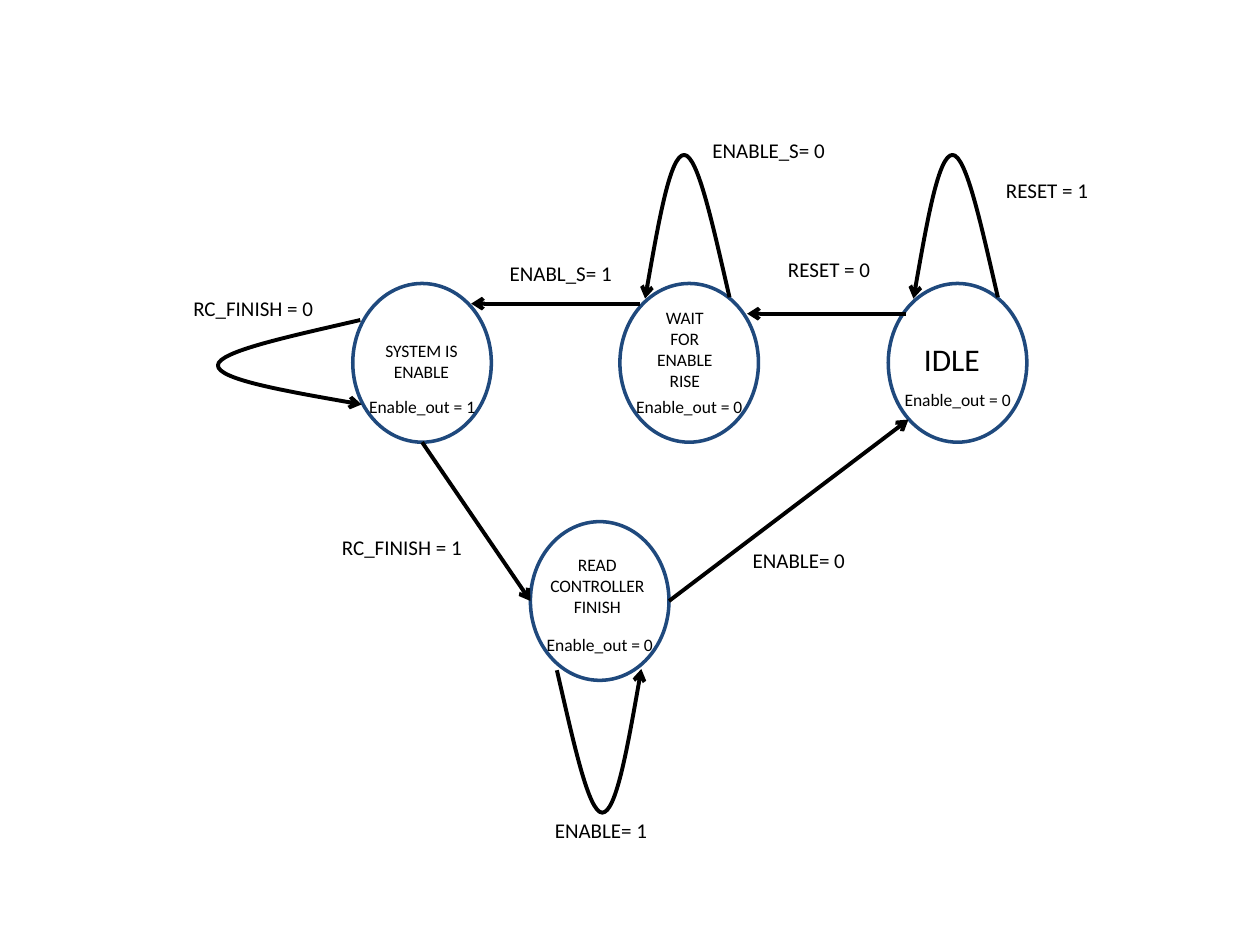
from math import cos, radians, sin

from lxml.etree import SubElement
from pptx import Presentation
from pptx.dml.color import RGBColor
from pptx.enum.shapes import MSO_CONNECTOR as Connector, MSO_SHAPE as Shape
from pptx.enum.text import MSO_AUTO_SIZE as AutoSize, PP_ALIGN as Align
from pptx.oxml.ns import qn
from pptx.util import Inches, Pt

STATE_W, STATE_H = 1.1, 1.26
LABEL_W, LABEL_H = 1.42, 0.3

# left, top, name paragraphs, name size, name box (offset x, y, width, height),
# output, output offset y
STATES = [
    (7.05, 2.25, ["IDLE"], 18, (0.15, 0.4, 0.71, 0.4), "Enable_out = 0", 0.79),
    (4.92, 2.25, ["WAIT FOR ENABLE", "RISE"], 10, (0.16, 0.14, 0.71, 0.77),
     "Enable_out = 0", 0.84),
    (2.8, 2.25, ["SYSTEM IS ENABLE"], 10, (0.11, 0.4, 0.87, 0.44),
     "Enable_out = 1", 0.84),
    (4.21, 4.14, ["READ CONTROLLER FINISH"], 10, (0.04, 0.21, 0.98, 0.61),
     "Enable_out = 0", 0.84),
]
# start, end, condition, label left, label top
TRANSITIONS = [
    ((7.19, 2.49), (5.93, 2.49), "RESET = 0", 5.87, 1.99),
    ((5.08, 2.41), (3.74, 2.41), "ENABL_S= 1", 3.74, 2.02),
    ((5.31, 4.77), (7.21, 3.33), "ENABLE= 0", 5.63, 4.3),
    ((3.35, 3.51), (4.21, 4.77), "RC_FINISH = 1", 2.48, 4.19),
]
# apex, counterclockwise turn in degrees, condition, label left, label top
LOOPS = [
    ((7.56, 1.23), 0, "RESET = 1", 7.6, 1.36),
    ((5.43, 1.23), 0, "ENABLE_S= 0", 5.39, 1.04),
    ((1.73, 2.9), 90, "RC_FINISH = 0", 1.3, 2.3),
    ((4.78, 6.45), 180, "ENABLE= 1", 4.06, 6.44),
]
# Two Bezier segments, measured from the apex of an upright loop
LOOP_CURVE = [(0.36, 1.13), (0.23, 0.57), (0.11, 0), (0, 0),
              (-0.11, 0), (-0.21, 0.57), (-0.31, 1.14)]


def color(hex_string):
    return RGBColor.from_string(hex_string)


class StateDiagram:
    font = "Calibri"
    ink = "000000"
    outline = "1F497D"
    label_size = 12
    output_size = 10

    def __init__(self, page):
        self.page = page

    def text(self, left, top, width, height, paragraphs, size):
        box = self.page.shapes.add_textbox(
            Inches(left), Inches(top), Inches(width), Inches(height))
        frame = box.text_frame
        frame.word_wrap = True
        frame.auto_size = AutoSize.SHAPE_TO_FIT_TEXT
        for index, words in enumerate(paragraphs):
            para = frame.add_paragraph() if index else frame.paragraphs[0]
            para.alignment = Align.CENTER
            span = para.add_run()
            span.text = words
            span.font.name = self.font
            span.font.size = Pt(size)
            span.font.color.rgb = color(self.ink)

    def label(self, words, left, top):
        self.text(left, top, LABEL_W, LABEL_H, [words], self.label_size)

    def state(self, left, top, name, size, name_box, output, output_y):
        circle = self.page.shapes.add_shape(
            Shape.OVAL, Inches(left), Inches(top),
            Inches(STATE_W), Inches(STATE_H))
        circle.shadow.inherit = False
        circle.fill.background()
        circle.line.color.rgb = color(self.outline)
        circle.line.width = Pt(2)
        x, y, width, height = name_box
        self.text(left + x, top + y, width, height, name, size)
        self.text(left, top + output_y, STATE_W, 0.27, [output],
                  self.output_size)

    def arrow_line(self, shape):
        """Style a line or curve and put an open arrowhead at its end."""
        shape.line.color.rgb = color(self.ink)
        shape.line.width = Pt(2.25)
        properties = shape._element.spPr
        SubElement(properties.find(qn("a:ln")), qn("a:tailEnd"), type="arrow")
        if properties.find(qn("a:effectLst")) is None:
            SubElement(properties, qn("a:effectLst"))

    def transition(self, start, end, condition, left, top):
        arrow = self.page.shapes.add_connector(
            Connector.STRAIGHT, *map(Inches, start + end))
        self.arrow_line(arrow)
        self.label(condition, left, top)

    def loop(self, apex, turn, condition, left, top):
        c, s = cos(radians(turn)), sin(radians(turn))
        points = [(Inches(apex[0] + x * c + y * s),
                   Inches(apex[1] - x * s + y * c)) for x, y in LOOP_CURVE]
        builder = self.page.shapes.build_freeform(*points[0])
        builder.add_line_segments(points[1:], close=False)
        curve = builder.convert_to_shape()
        self.bend(curve)
        curve.fill.background()
        self.arrow_line(curve)
        self.label(condition, left, top)

    def bend(self, curve):
        """Turn each three line segments into one cubic Bezier segment."""
        outline = next(curve._element.iter(qn("a:path")))
        segments = outline.findall(qn("a:lnTo"))
        for first in range(0, len(segments), 3):
            bezier = SubElement(outline, qn("a:cubicBezTo"))
            for segment in segments[first:first + 3]:
                bezier.append(segment[0])
                outline.remove(segment)


def main():
    deck = Presentation()
    deck.slide_width, deck.slide_height = Inches(10), Inches(7.5)
    page = deck.slides.add_slide(deck.slide_layouts[6])
    diagram = StateDiagram(page)
    for state in STATES:
        diagram.state(*state)
    for transition in TRANSITIONS:
        diagram.transition(*transition)
    for loop in LOOPS:
        diagram.loop(*loop)
    deck.save("out.pptx")


if __name__ == "__main__":
    main()
